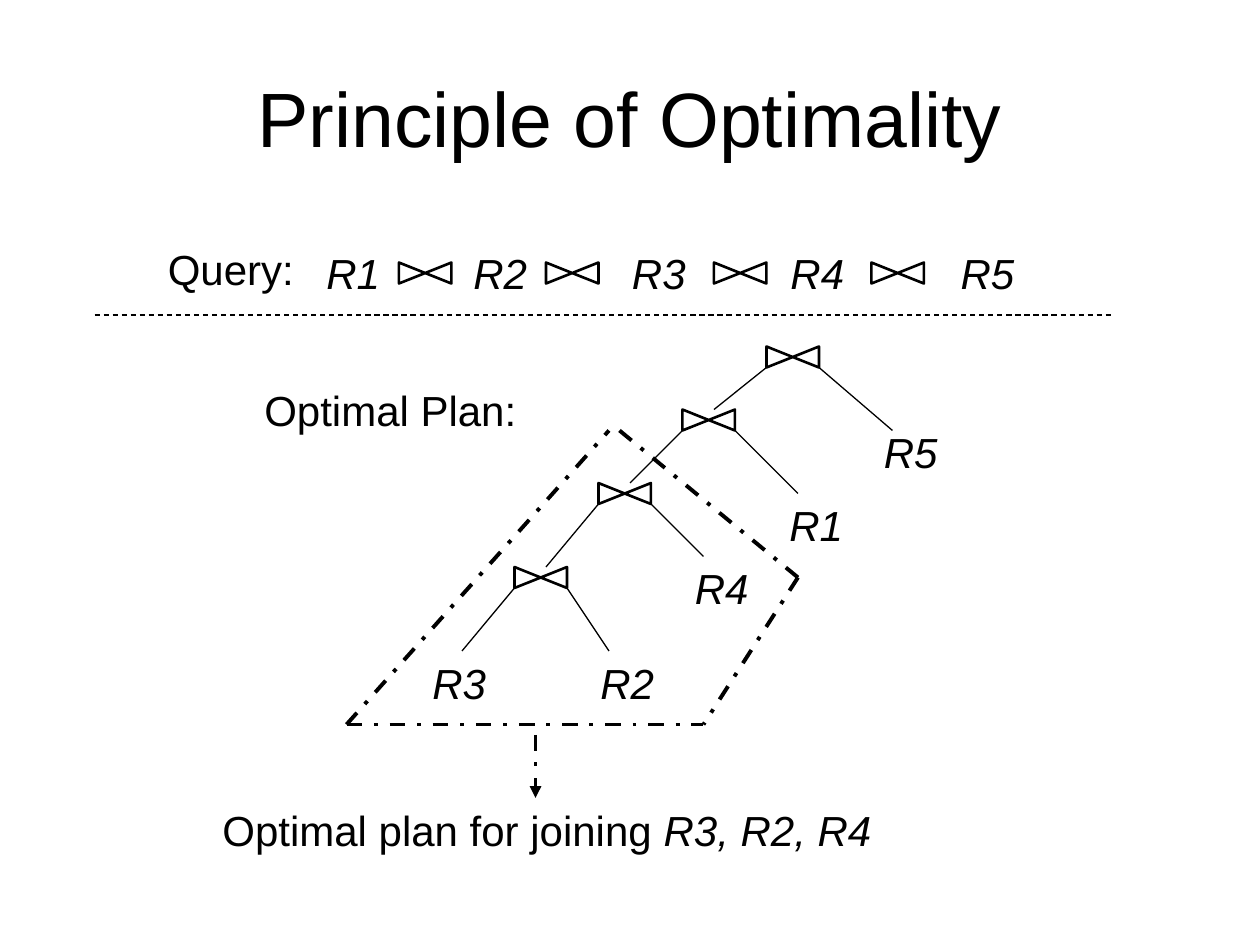
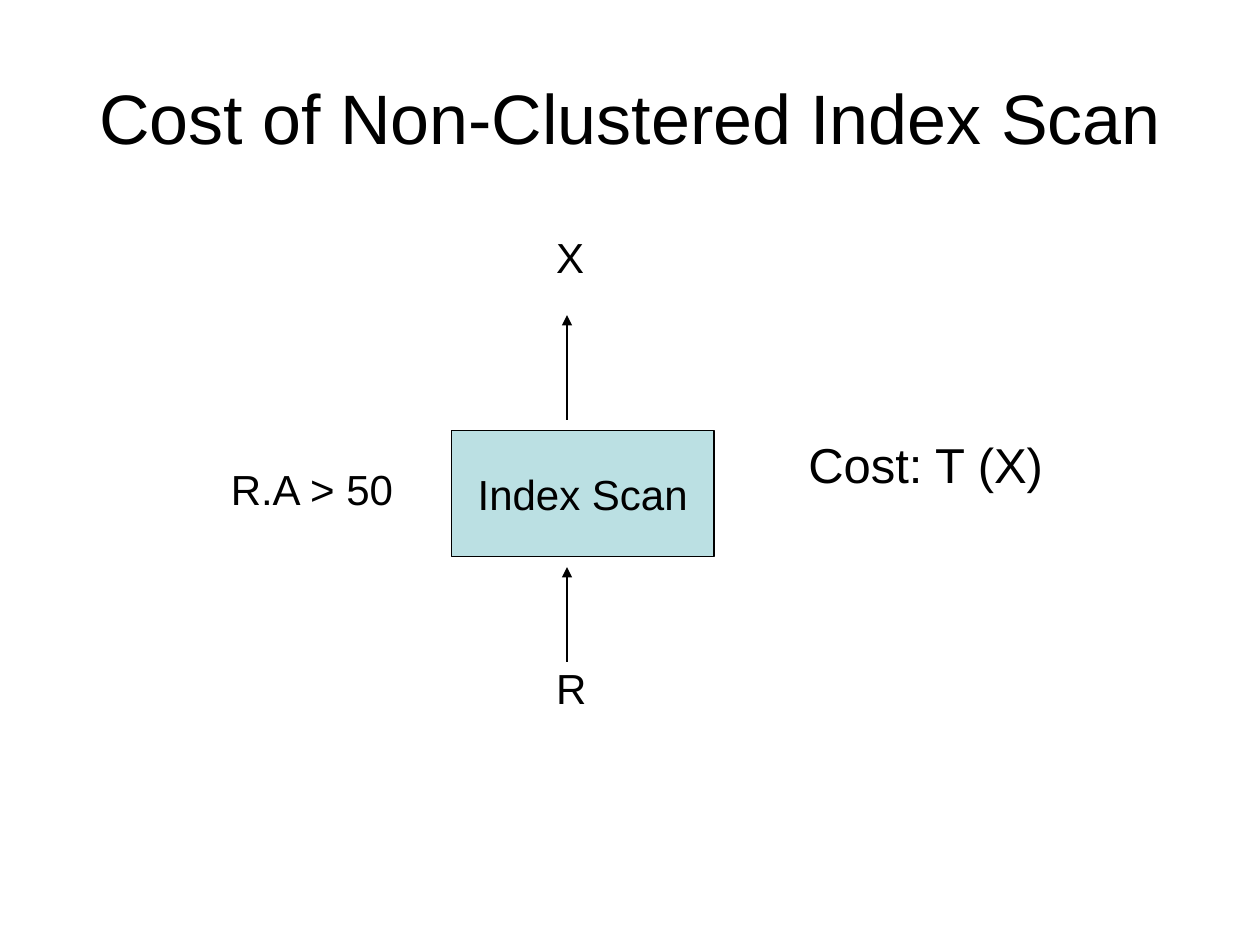
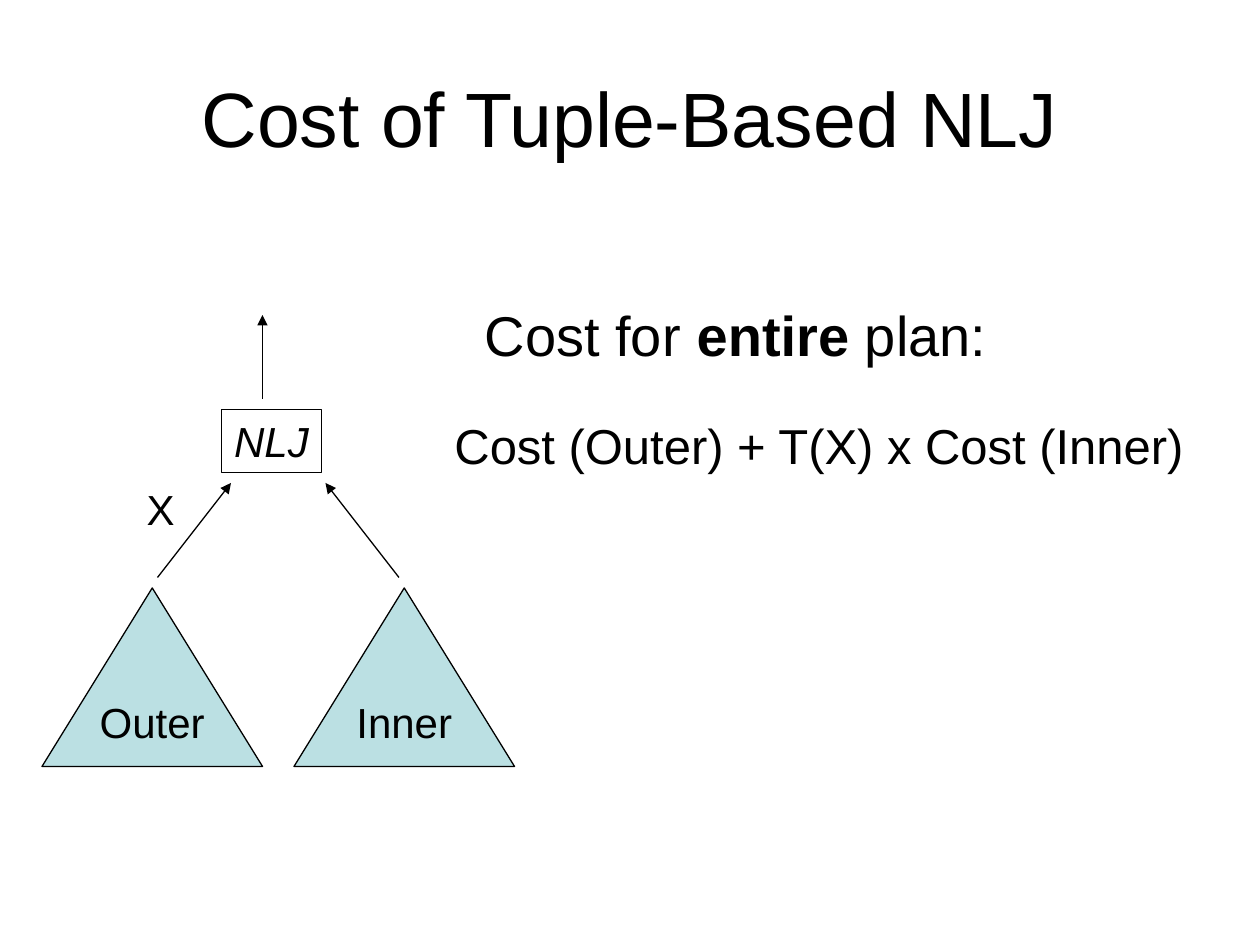
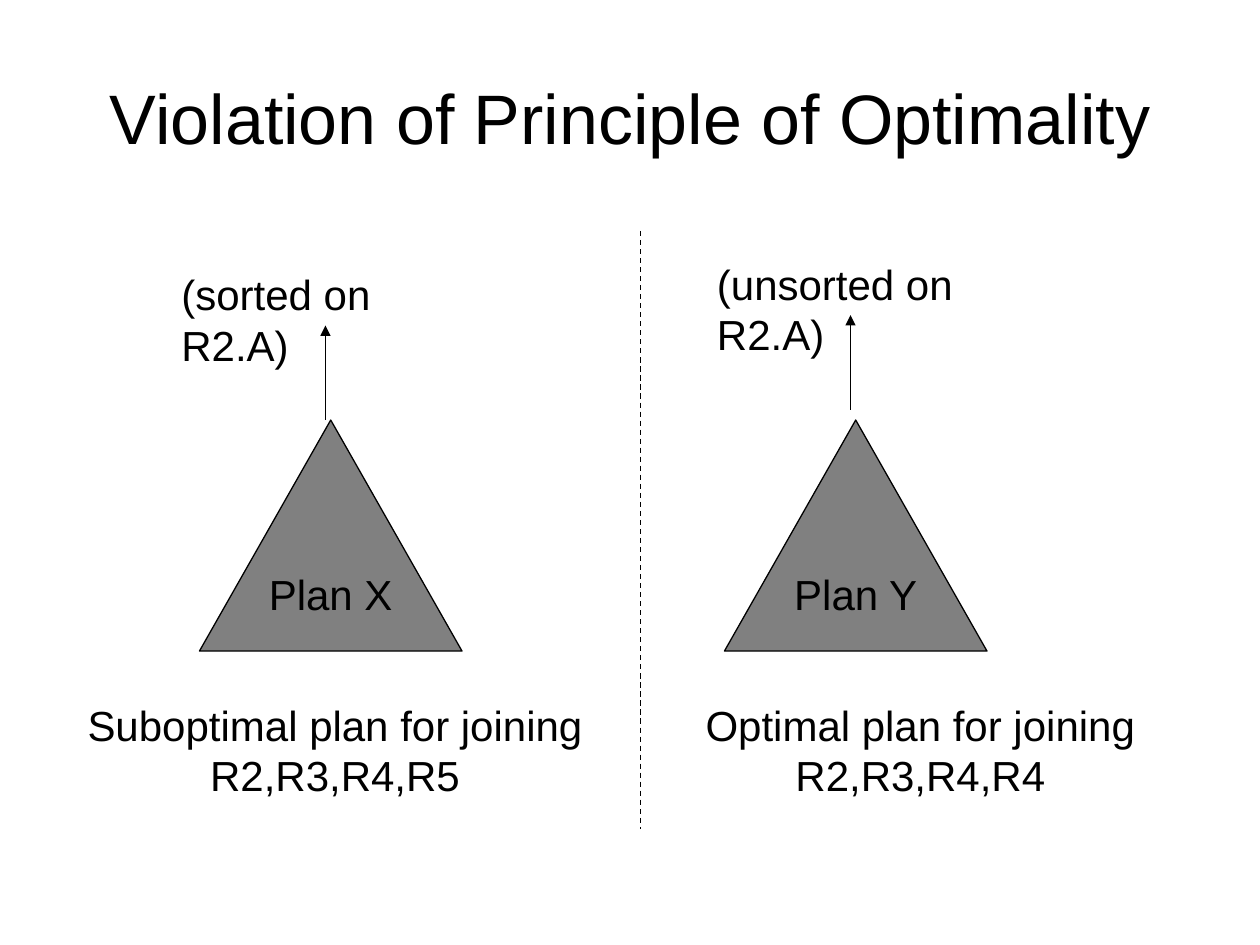
from dataclasses import dataclass

from lxml import etree
from pptx import Presentation
from pptx.dml.color import RGBColor
from pptx.enum.dml import MSO_LINE
from pptx.enum.shapes import MSO_CONNECTOR, MSO_SHAPE
from pptx.enum.text import MSO_ANCHOR, MSO_AUTO_SIZE, PP_ALIGN
from pptx.oxml.ns import qn
from pptx.util import Pt

STRAIGHT = MSO_CONNECTOR.STRAIGHT
RECTANGLE, TRIANGLE = MSO_SHAPE.RECTANGLE, MSO_SHAPE.ISOSCELES_TRIANGLE
BOWTIE = MSO_SHAPE.FLOWCHART_COLLATE
DASH, DASH_DOT = MSO_LINE.DASH, MSO_LINE.DASH_DOT
MIDDLE, TOP = MSO_ANCHOR.MIDDLE, MSO_ANCHOR.TOP
LEFT, CENTER = PP_ALIGN.LEFT, PP_ALIGN.CENTER
GROW, FIXED = MSO_AUTO_SIZE.SHAPE_TO_FIT_TEXT, MSO_AUTO_SIZE.NONE
EMU_PER_PX = 7620


@dataclass(frozen=True)
class Theme:
    font: str = "Arial"
    ink: str = "000000"
    paper: str = "FFFFFF"
    teal: str = "BBE0E3"
    gray: str = "808080"
    title: int = 44
    long_title: int = 40
    body: int = 24
    formula: int = 28
    heading: int = 32
    thin: float = 0.75
    join: float = 1.5
    region: float = 2.25


THEME = Theme()
TITLE_BOX = (60, 36, 1080, 150)
LINE_STYLES = {
    "edge": {"width": Pt(THEME.thin)},
    "divider": {"width": Pt(THEME.thin), "dash_style": DASH},
    "region": {"width": Pt(THEME.region), "dash_style": DASH_DOT},
}
ITALIC = {"italic": True}
BOLD = {"bold": True}

JOIN_LENGTH, JOIN_THICKNESS = 50, 20
QUERY_RELATIONS = ["R1", "R2", "R3", "R4", "R5"]
QUERY_BOX = (299, 230, 690, 60)
QUERY_TABS = [140, 291, 442, 604]
QUERY_JOINS = [(405, 260), (545, 260), (705, 260), (855, 260)]
PLAN_JOINS = [(755, 340), (675, 400), (595, 470), (515, 550)]
RIGHT_ENDS = [(850, 410), (760, 470), (670, 530), (580, 620)]
LAST_LEFT_END = (440, 620)
LEAVES = [("R5", 830, 400), ("R1", 740, 470), ("R4", 650, 530),
          ("R2", 560, 620), ("R3", 400, 620)]
LEAF_SIZE = (75, 60)

SLIDES = [
    {
        "title": ("Principle of Optimality", THEME.title),
        "labels": [
            ((148, 226, 155, 60), [("Query:", {})], THEME.body, LEFT),
            ((240, 360, 264, 60), [("Optimal Plan:", {})], THEME.body, LEFT),
            ((200, 760, 642, 60),
             [("Optimal plan for joining ", {}), ("R3, R2, R4", ITALIC)],
             THEME.body, LEFT),
        ],
        "lines": [
            ((90, 300), (1060, 300), "divider", False),
            ((330, 690), (670, 690), "region", False),
            ((330, 690), (580, 410), "region", False),
            ((590, 410), (760, 550), "region", False),
            ((760, 550), (670, 690), "region", False),
            ((510, 700), (510, 760), "region", True),
        ],
    },
    {
        "title": ("Cost of Non-Clustered Index Scan", THEME.long_title),
        "blocks": [
            (RECTANGLE, (430, 410, 250, 120), "Index Scan", THEME.teal, {}),
        ],
        "labels": [
            ((518, 625, 53, 60), [("R", {})], THEME.body, LEFT),
            ((758, 408, 248, 68), [("Cost: T (X)", {})], THEME.formula, LEFT),
            ((208, 436, 180, 60), [("R.A > 50", {})], THEME.body, LEFT),
            ((518, 215, 50, 60), [("X", {})], THEME.body, LEFT),
        ],
        "lines": [
            ((540, 630), (540, 540), "edge", True),
            ((540, 400), (540, 300), "edge", True),
        ],
    },
    {
        "title": ("Cost of Tuple-Based NLJ", THEME.title),
        "blocks": [
            (RECTANGLE, (211, 390, 95, 60), "NLJ", None, ITALIC),
            (TRIANGLE, (280, 560, 210, 170), "Inner", THEME.teal, {}),
            (TRIANGLE, (40, 560, 210, 170), "Outer", THEME.teal, {}),
        ],
        "labels": [
            ((450, 280, 516, 77),
             [("Cost for ", {}), ("entire", BOLD), (" plan:", {})],
             THEME.heading, LEFT),
            ((421, 390, 719, 68),
             [("Cost (Outer) + T(X) x Cost (Inner)", {})],
             THEME.formula, LEFT),
            ((128, 455, 50, 60), [("X", {})], THEME.body, LEFT),
        ],
        "lines": [
            ((150, 550), (220, 460), "edge", True),
            ((250, 380), (250, 300), "edge", True),
            ((380, 550), (310, 460), "edge", True),
        ],
    },
    {
        "title": ("Violation of Principle of Optimality", THEME.long_title),
        "blocks": [
            (TRIANGLE, (690, 400, 250, 220), "Plan Y", THEME.gray, {}),
            (TRIANGLE, (190, 400, 250, 220), "Plan X", THEME.gray, {}),
        ],
        "labels": [
            ((161, 250, 317, 60), [("(sorted on R2.A)", {})], THEME.body, LEFT),
            ((671, 240, 361, 60), [("(unsorted on R2.A)", {})], THEME.body, LEFT),
            ((660, 660, 433, 108),
             [("Optimal plan for joining\nR2,R3,R4,R4", {})], THEME.body, CENTER),
            ((71, 660, 496, 108),
             [("Suboptimal plan for joining\nR2,R3,R4,R5", {})], THEME.body, CENTER),
        ],
        "lines": [
            ((310, 400), (310, 310), "edge", True),
            ((810, 390), (810, 300), "edge", True),
            ((610, 220), (610, 790), "divider", False),
        ],
    },
]


def px(*lengths):
    return [round(length * EMU_PER_PX) for length in lengths]


def apply(target, formats):
    for attribute, value in formats.items():
        setattr(target, attribute, value)


def write(frame, runs, size, align, **frame_formats):
    apply(frame, frame_formats)
    paragraph = frame.paragraphs[0]
    paragraph.alignment = align
    for text, formats in runs:
        for index, line in enumerate(text.split("\n")):
            if index:
                paragraph.add_line_break()
            run = paragraph.add_run()
            run.text = line
            apply(run.font, {"name": THEME.font, "size": Pt(size), **formats})
            run.font.color.rgb = RGBColor.from_string(THEME.ink)
    return paragraph


def add_title(slide, text, size):
    title = slide.shapes.title
    apply(title, dict(zip(("left", "top", "width", "height"), px(*TITLE_BOX))))
    write(title.text_frame, [(text, {})], size, CENTER,
          word_wrap=True, vertical_anchor=MIDDLE, auto_size=FIXED)


def add_label(slide, box, runs, size, align, wrap=False):
    label = slide.shapes.add_textbox(*px(*box))
    return write(label.text_frame, runs, size, align,
                 word_wrap=wrap, vertical_anchor=TOP, auto_size=GROW)


def add_outlined(slide, kind, box, fill, width):
    outlined = slide.shapes.add_shape(kind, *px(*box))
    outlined.shadow.inherit = False
    if fill:
        outlined.fill.solid()
        outlined.fill.fore_color.rgb = RGBColor.from_string(fill)
    else:
        outlined.fill.background()
    outlined.line.color.rgb = RGBColor.from_string(THEME.ink)
    outlined.line.width = Pt(width)
    return outlined


def add_block(slide, kind, box, name, fill, formats):
    block = add_outlined(slide, kind, box, fill, THEME.thin)
    write(block.text_frame, [(name, formats)], THEME.body, CENTER,
          word_wrap=False, vertical_anchor=MIDDLE)


def add_line(slide, start, end, style="edge", arrow=False):
    connector = slide.shapes.add_connector(STRAIGHT, *px(*start, *end))
    connector.line.color.rgb = RGBColor.from_string(THEME.ink)
    apply(connector.line, LINE_STYLES[style])
    if arrow:
        outline = connector.line._get_or_add_ln()
        etree.SubElement(outline, qn("a:tailEnd"), type="triangle")
    etree.SubElement(connector._element.spPr, qn("a:effectLst"))


def add_join(slide, x, y):
    box = (x - JOIN_THICKNESS / 2, y - JOIN_LENGTH / 2, JOIN_THICKNESS, JOIN_LENGTH)
    join = add_outlined(slide, BOWTIE, box, THEME.paper, THEME.join)
    join.rotation = 270


def add_query(slide):
    query = add_label(slide, QUERY_BOX, [("\t".join(QUERY_RELATIONS), ITALIC)],
                      THEME.body, LEFT, wrap=True)
    tabs = etree.SubElement(query._p.get_or_add_pPr(), qn("a:tabLst"))
    for position in px(*QUERY_TABS):
        etree.SubElement(tabs, qn("a:tab"), pos=str(position), algn="l")
    for center in QUERY_JOINS:
        add_join(slide, *center)


def add_plan_tree(slide):
    half_length, half_thickness = JOIN_LENGTH / 2, JOIN_THICKNESS / 2
    left_ends = [(x + 5, y - half_thickness) for x, y in PLAN_JOINS[1:]]
    left_ends.append(LAST_LEFT_END)
    for (x, y), left_end, right_end in zip(PLAN_JOINS, left_ends, RIGHT_ENDS):
        add_join(slide, x, y)
        add_line(slide, (x - half_length, y + half_thickness), left_end)
        add_line(slide, (x + half_length, y + half_thickness), right_end)
    for relation, left, top in LEAVES:
        add_label(slide, (left, top, *LEAF_SIZE), [(relation, ITALIC)],
                  THEME.body, LEFT)


def main():
    deck = Presentation()
    deck.slide_width, deck.slide_height = px(1200, 900)
    title_only = deck.slide_layouts[5]
    slides = []
    for content in SLIDES:
        slide = deck.slides.add_slide(title_only)
        slides.append(slide)
        add_title(slide, *content["title"])
        for block in content.get("blocks", []):
            add_block(slide, *block)
        for label in content["labels"]:
            add_label(slide, *label)
        for line in content["lines"]:
            add_line(slide, *line)
    add_query(slides[0])
    add_plan_tree(slides[0])
    deck.save("out.pptx")


if __name__ == "__main__":
    main()
